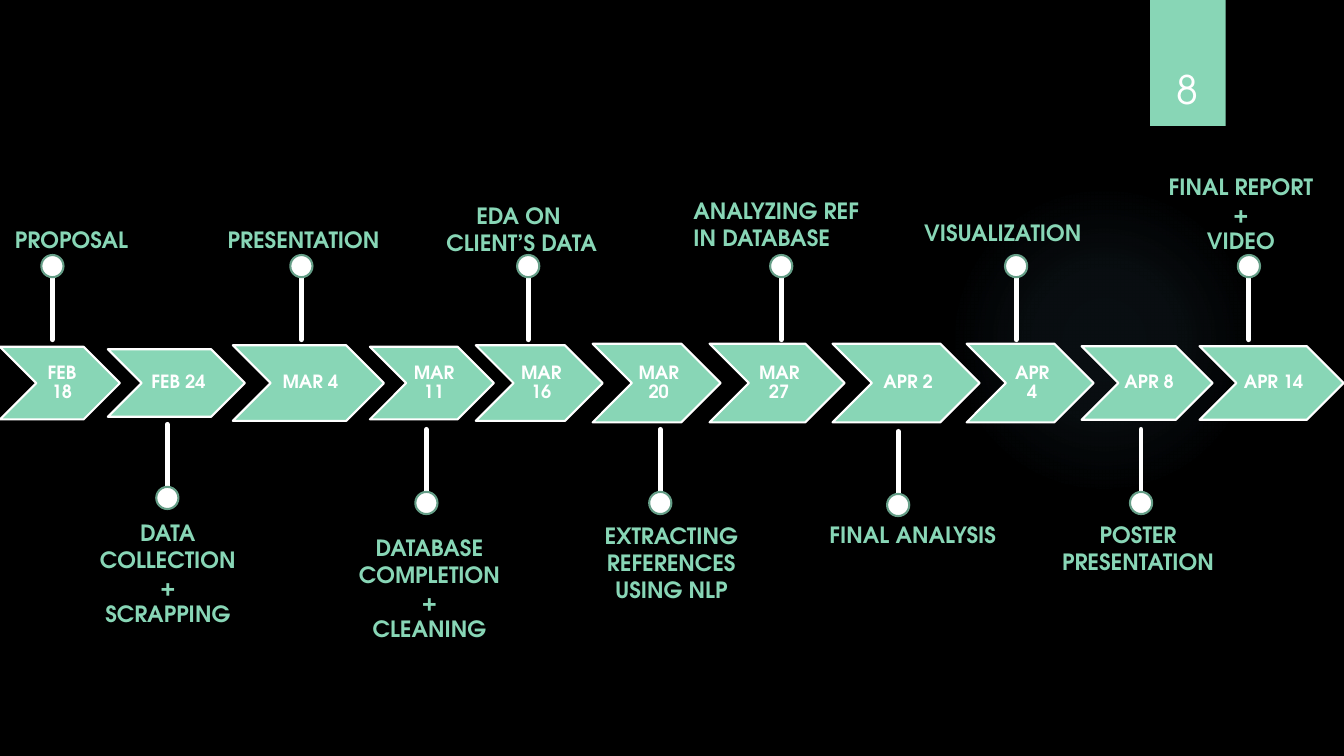
from collections import namedtuple
from pptx import Presentation
from pptx.dml.color import RGBColor
from pptx.enum.shapes import MSO_CONNECTOR, MSO_SHAPE
from pptx.enum.text import MSO_ANCHOR, MSO_AUTO_SIZE, PP_ALIGN
from pptx.oxml import parse_xml
from pptx.oxml.ns import nsdecls, qn
from pptx.util import Inches, Pt
from lxml.etree import SubElement

Theme = namedtuple("Theme", "font mint white black rim glow page date note edge stem")
THEME = Theme("TeX Gyre Adventor", "88D6B6", "FFFFFF", "000000", "659E87",
              "7AC4F0", 28, 13, 16, 1.5, 3.5)
Box = namedtuple("Box", "x y w h")
Step = namedtuple("Step", "date left wide tall pin root text note_x note_y note_w lines align")

CELL = 0.1
COLS, ROWS = 133.33, 75
DOT = 2.2
STEM = 6.2
MID, LEFT = PP_ALIGN.CENTER, PP_ALIGN.LEFT

ABOVE = Box(0, 16.7, COLS, 17)
TRACK = Box(0, 34.1, COLS, 7.8)
BELOW = Box(0, 42.1, COLS, 22.2)

STEPS = [
    Step("FEB 18", 0, 11.9, 7.2, 5.2, 17, "PROPOSAL", 0.5, 5.2, 15.9, 1, LEFT),
    Step("FEB 24", 10.7, 13.6, 6.7, 16.6, 0, "DATA COLLECTION\n+\nSCRAPPING",
         8.7, 8.9, 15.9, 4, MID),
    Step("MAR 4", 23.1, 15, 7.5, 29.9, 17, "PRESENTATION", 21.6, 5.2, 18.8, 1, LEFT),
    Step("MAR 11", 36.7, 12.3, 7.2, 42.3, 0.5, "DATABASE COMPLETION\n+\nCLEANING",
         33.2, 10.4, 18.8, 4, MID),
    Step("MAR 16", 47.2, 12.6, 7.5, 52.4, 17, "EDA ON \nCLIENT’S DATA",
         40.9, 2.9, 21.7, 2, MID),
    Step("MAR 20", 58.8, 12.7, 7.8, 65.5, 0.5, "EXTRACTING REFERENCES USING NLP",
         57.2, 9.2, 18.8, 3, MID),
    Step("MAR 27", 70.4, 13.4, 7.8, 77.5, 17, "ANALYZING REF IN DATABASE",
         67.8, 2.4, 18.8, 2, LEFT),
    Step("APR 2", 82.6, 14.6, 7.8, 89.1, 0.7, "FINAL ANALYSIS", 81.3, 9.1, 18.8, 1, LEFT),
    Step("APR 4", 95.9, 12.6, 7.8, 100.8, 17, "VISUALIZATION", 90.7, 4.6, 18.8, 1, LEFT),
    Step("APR 8 ", 107.3, 13, 7.3, 113.2, 0.5, "POSTER PRESENTATION",
         103.5, 9.1, 18.8, 2, MID),
    Step("APR 14", 119, 14.3, 7.3, 123.9, 17, "FINAL REPORT\n+\nVIDEO",
         113.7, 0, 18.8, 3, MID),
]


def grid(*cells):
    return [Inches(cell * CELL) for cell in cells]


def tint(code):
    return RGBColor.from_string(code)


def shape(slide, kind, box, fill, edge=None):
    item = slide.shapes.add_shape(kind, *grid(*box))
    item.shadow.inherit = False
    item.fill.solid()
    item.fill.fore_color.rgb = tint(fill)
    if edge:
        item.line.color.rgb = tint(edge)
        item.line.width = Pt(THEME.edge)
    else:
        item.line.fill.background()
    return item


def write(item, text, size, color, align, bold=True):
    frame = item.text_frame
    frame.word_wrap = True
    frame.text = text
    for para in frame.paragraphs:
        para.alignment = align
        for run in para.runs:
            run.font.name = THEME.font
            run.font.size = Pt(size)
            run.font.bold = bold
            run.font.color.rgb = tint(color)
    return frame


def label(slide, box, text, size, color, align, bold=True):
    item = slide.shapes.add_textbox(*grid(*box))
    return write(item, text, size, color, align, bold)


def glow(slide, box):
    item = shape(slide, MSO_SHAPE.OVAL, box, THEME.glow)
    stops = "".join(
        f'<a:gs pos="{pos * 1000}"><a:srgbClr val="{THEME.glow}">'
        f'<a:alpha val="{alpha * 1000}"/></a:srgbClr></a:gs>'
        for pos, alpha in ((0, 7), (36, 6), (69, 0), (100, 0)))
    fade = parse_xml(
        f'<a:gradFill {nsdecls("a")}><a:gsLst>{stops}</a:gsLst><a:path path="circle">'
        '<a:fillToRect l="50000" t="50000" r="50000" b="50000"/></a:path></a:gradFill>')
    props = item.element.spPr
    props.replace(props.find(qn("a:solidFill")), fade)


def badge(slide, box):
    shape(slide, MSO_SHAPE.RECTANGLE, box, THEME.mint)
    spot = Box(box.x - 0.9, box.y + 3.2, box.w + 1.7, 8.4)
    frame = label(slide, spot, "8", THEME.page, THEME.white, MID, False)
    frame.vertical_anchor = MSO_ANCHOR.BOTTOM


def track(slide, box, steps):
    for step in steps:
        spot = Box(box.x + step.left, box.y + (box.h - step.tall) / 2, step.wide, step.tall)
        item = shape(slide, MSO_SHAPE.CHEVRON, spot, THEME.mint, THEME.white)
        frame = write(item, step.date, THEME.date, THEME.white, MID)
        frame.vertical_anchor = MSO_ANCHOR.MIDDLE
        frame.margin_left = Inches(0.06)
        frame.margin_right = frame.margin_top = frame.margin_bottom = Inches(0.02)
        frame.paragraphs[0].line_spacing = 0.9


def pin(slide, x, root, way):
    tip = root + way * STEM
    stem = slide.shapes.add_connector(MSO_CONNECTOR.STRAIGHT, *grid(x, root, x, tip))
    stem.line.color.rgb = tint(THEME.white)
    stem.line.width = Pt(THEME.stem)
    stem.line._get_or_add_ln().set("cap", "rnd")
    SubElement(stem.element.spPr, qn("a:effectLst"))
    spot = Box(x - DOT / 2, tip + (way - 1) * DOT / 2, DOT, DOT)
    shape(slide, MSO_SHAPE.OVAL, spot, THEME.white, THEME.rim)


def notes(slide, box, steps, way):
    for step in steps:
        pin(slide, box.x + step.pin, box.y + step.root, way)
        spot = Box(box.x + step.note_x, box.y + step.note_y,
                   step.note_w, 1 + 2.7 * step.lines)
        frame = label(slide, spot, step.text, THEME.note, THEME.mint, step.align)
        frame.auto_size = MSO_AUTO_SIZE.SHAPE_TO_FIT_TEXT


def main():
    deck = Presentation()
    deck.slide_width, deck.slide_height = grid(COLS, ROWS)
    slide = deck.slides.add_slide(deck.slide_layouts[6])
    slide.background.fill.solid()
    slide.background.fill.fore_color.rgb = tint(THEME.black)
    glow(slide, Box(94.1, 18.3, 30.8, 30.8))
    badge(slide, Box(114.1, 0, 7.5, 12.5))
    track(slide, TRACK, STEPS)
    notes(slide, ABOVE, STEPS[::2], -1)
    notes(slide, BELOW, STEPS[1::2], 1)
    deck.save("out.pptx")


if __name__ == "__main__":
    main()
